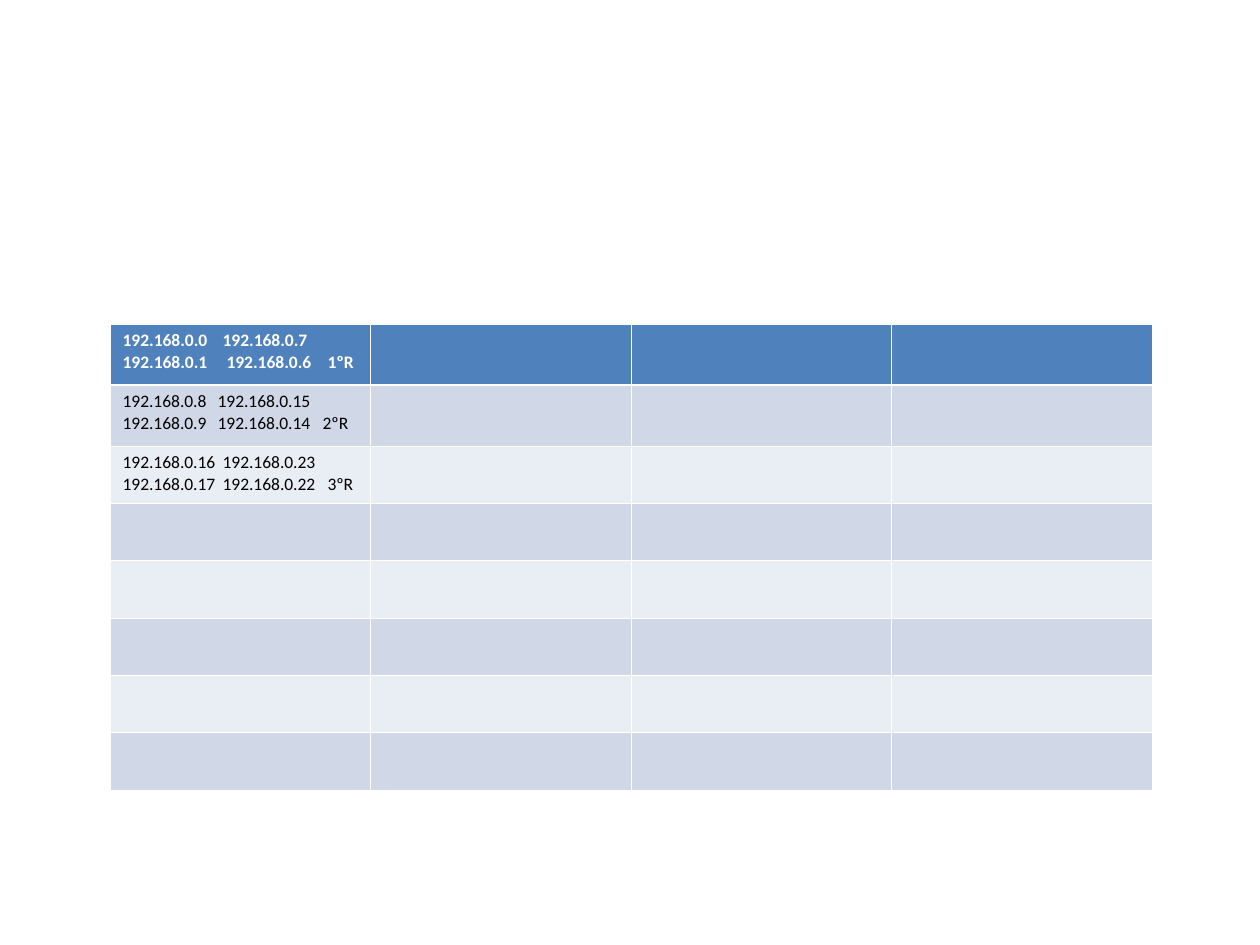
from pptx import Presentation
from pptx.util import Pt
from pptx.dml.color import RGBColor
from pptx.oxml.ns import qn
from lxml import etree

PX = 914400 // 126
COLORS = {"white": "FFFFFF", "black": "000000", "header": "4F81BD",
          "odd": "D0D8E8", "even": "E9EDF4"}
COL_WIDTHS = [260, 261, 260, 261]
ROW_HEIGHTS = [61, 61, 57, 57, 58, 57, 57, 58]
THIN, THICK = 0.45, 1.47
SUBNETS = [
    [("192.168.0.0\t192.168.0.7", [100]),
     ("192.168.0.1\t192.168.0.6\t1ºR", [104, 205])],
    [("192.168.0.8\t192.168.0.15", [95]),
     ("192.168.0.9\t192.168.0.14\t2ºR", [95, 200])],
    [("192.168.0.16\t192.168.0.23", [100]),
     ("192.168.0.17\t192.168.0.22\t3ºR", [100, 205])],
]


def add_border(cell, side, width):
    ln = etree.SubElement(cell._tc.get_or_add_tcPr(), qn("a:ln" + side), w=str(Pt(width)))
    fill = etree.SubElement(ln, qn("a:solidFill"))
    etree.SubElement(fill, qn("a:srgbClr"), val=COLORS["white"])


def add_tabs(p, stops):
    tabs = etree.SubElement(p._p.get_or_add_pPr(), qn("a:tabLst"))
    for stop in stops:
        etree.SubElement(tabs, qn("a:tab"), pos=str(stop * PX), algn="l")


prs = Presentation()
prs.slide_width, prs.slide_height = 1260 * PX, 945 * PX
s = prs.slides.add_slide(prs.slide_layouts[6])
table = s.shapes.add_table(len(ROW_HEIGHTS), len(COL_WIDTHS), 110 * PX, 324 * PX,
                           sum(COL_WIDTHS) * PX, sum(ROW_HEIGHTS) * PX).table
for col, width in zip(table.columns, COL_WIDTHS):
    col.width = width * PX

for i, height in enumerate(ROW_HEIGHTS):
    table.rows[i].height = height * PX
    band = "header" if i == 0 else "odd" if i % 2 else "even"
    widths = {"L": THIN, "R": THIN, "T": THICK if i == 1 else THIN,
              "B": THICK if i == 0 else THIN}
    for cell in table.rows[i].cells:
        for side, width in widths.items():
            add_border(cell, side, width)
        cell.fill.solid()
        cell.fill.fore_color.rgb = RGBColor.from_string(COLORS[band])

for i, lines in enumerate(SUBNETS):
    tf = table.cell(i, 0).text_frame
    font = {"name": "Calibri", "size": Pt(10), "bold": i == 0}
    for j, (text, stops) in enumerate(lines):
        p = tf.add_paragraph() if j else tf.paragraphs[0]
        add_tabs(p, stops)
        r = p.add_run()
        r.text = text
        for name, value in font.items():
            setattr(r.font, name, value)
        r.font.color.rgb = RGBColor.from_string(COLORS["black" if i else "white"])

prs.save("out.pptx")
